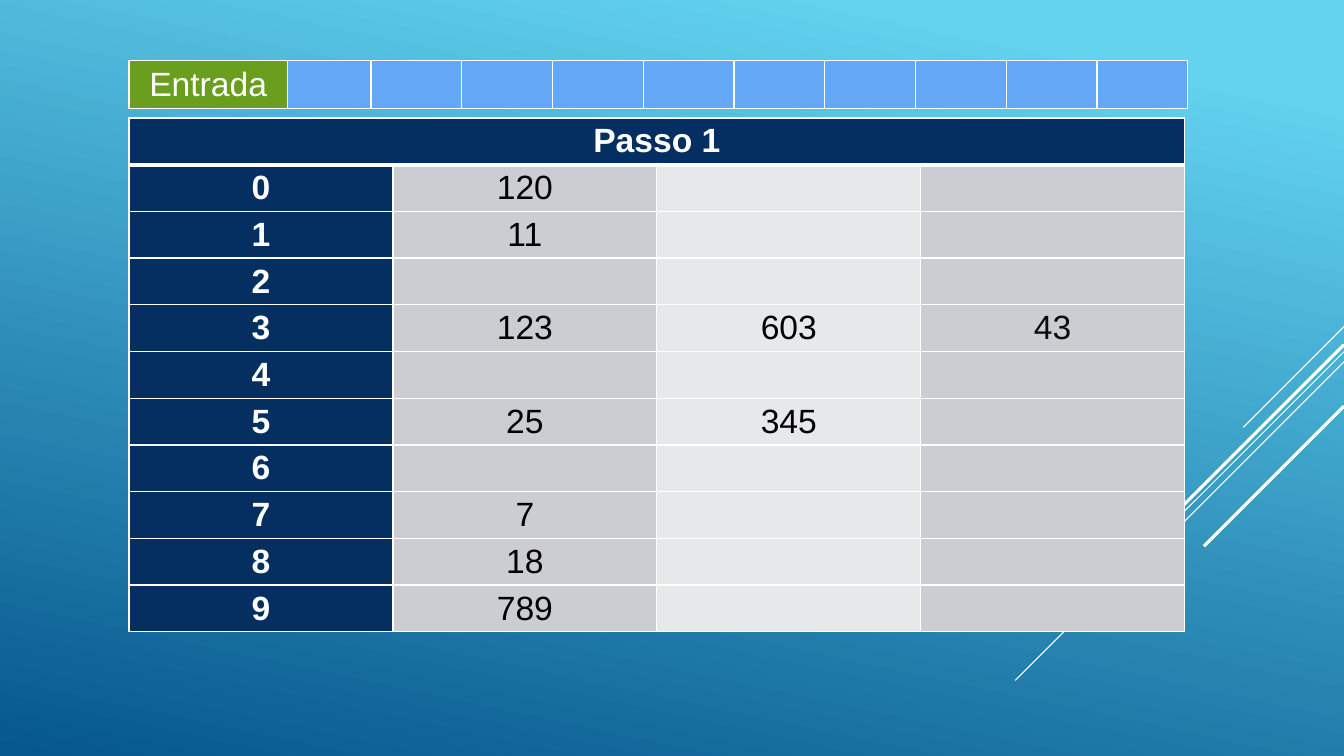
from lxml import etree
from pptx import Presentation
from pptx import util as u
from pptx.dml.color import RGBColor
from pptx.enum import shapes, text
from pptx.oxml.ns import qn

WHITE = RGBColor(0xFF, 0xFF, 0xFF)
BLACK = RGBColor(0, 0, 0)
SOFT = RGBColor(0x0C, 0x0C, 0x0C)
NAVY = RGBColor(0x05, 0x2F, 0x61)
DARK = RGBColor(0xCC, 0xCD, 0xD2)
PALE = RGBColor(0xE7, 0xE8, 0xEA)
GREEN = RGBColor(0x6A, 0x9E, 0x1F)
BLUE = RGBColor(0x64, 0xA7, 0xF7)
SKY = RGBColor(0x62, 0xD2, 0xEF)
DEEP = RGBColor(0x05, 0x57, 0x8D)

RIGHT = 13.33
RAYS = [(3.24, 1, 0.75), (3.49, 3.26, 0.75), (3.59, 2.07, 0.75),
        (3.42, 1.91, 2.25), (4.03, 1.39, 2.25)]
BUCKETS = [["120"], ["11"], [], ["123", "603", "43"], [],
           ["25", "345"], [], ["7"], ["18"], ["789"]]


def paint_back(slide):
    fill = slide.background.fill
    fill.gradient()
    fill.gradient_angle = 258
    for stop, color, place in zip(fill.gradient_stops, (SKY, DEEP), (0.1, 1)):
        stop.color.rgb = color
        stop.position = place


def add_ray(slide, top, span, width):
    ray = slide.shapes.add_connector(
        shapes.MSO_CONNECTOR.STRAIGHT, u.Inches(RIGHT), u.Inches(top),
        u.Inches(RIGHT - span), u.Inches(top + span))
    ray.line.color.rgb = WHITE
    ray.line.width = u.Pt(width)
    etree.SubElement(ray._element.spPr, qn("a:effectLst"))


def set_edges(cell, top=1, base=1):
    props = cell._tc.get_or_add_tcPr()
    for spot, (side, width) in enumerate(zip("LRTB", (1, 1, top, base))):
        edge = etree.Element(qn(f"a:ln{side}"), w=str(u.Pt(width)))
        fill = etree.SubElement(edge, qn("a:solidFill"))
        etree.SubElement(fill, qn("a:srgbClr"), val=str(WHITE))
        props.insert(spot, edge)


def fill_cell(cell, words, fill, color=WHITE, bold=False):
    cell.fill.solid()
    cell.fill.fore_color.rgb = fill
    cell.vertical_anchor = text.MSO_ANCHOR.MIDDLE
    cell.margin_top = cell.margin_bottom = u.Inches(0.04)
    cell.text = words
    line = cell.text_frame.paragraphs[0]
    line.alignment = text.PP_ALIGN.CENTER
    line.font.name = "Arial"
    line.font.size = u.Pt(24)
    line.font.bold = bold
    line.font.color.rgb = color


def add_grid(slide, rows, cols, top, width, height):
    return slide.shapes.add_table(
        rows, cols, u.Inches(1.28), u.Inches(top),
        u.Inches(width), u.Inches(height)).table


def add_steps(slide):
    grid = add_grid(slide, len(BUCKETS) + 1, 4, 1.17, 10.47, 5.1)
    for cell in grid.rows[0].cells:
        fill_cell(cell, "", NAVY)
        set_edges(cell, base=3)
    grid.cell(0, 0).merge(grid.cell(0, 3))
    fill_cell(grid.cell(0, 0), "Passo 1", NAVY, bold=True)
    for row, values in enumerate(BUCKETS, 1):
        for col in range(4):
            cell = grid.cell(row, col)
            if col == 0:
                fill_cell(cell, str(row - 1), NAVY, bold=True)
            else:
                words = values[col - 1] if col <= len(values) else ""
                fill_cell(cell, words, DARK if col % 2 else PALE,
                          SOFT if col == 3 else BLACK)
            set_edges(cell, top=3 if row == 1 else 1)


def add_input(slide):
    widths = [1.57, 0.83] + [0.9] * 9
    grid = add_grid(slide, 1, len(widths), 0.6, sum(widths), 0.48)
    for col, width in enumerate(widths):
        grid.columns[col].width = u.Inches(width)
        cell = grid.cell(0, col)
        fill_cell(cell, "" if col else "Entrada", BLUE if col else GREEN)
        set_edges(cell)


def main():
    deck = Presentation()
    deck.slide_width = u.Inches(RIGHT)
    deck.slide_height = u.Inches(7.5)
    slide = deck.slides.add_slide(deck.slide_layouts[6])
    paint_back(slide)
    for ray in RAYS:
        add_ray(slide, *ray)
    add_steps(slide)
    add_input(slide)
    deck.save("out.pptx")


if __name__ == "__main__":
    main()
